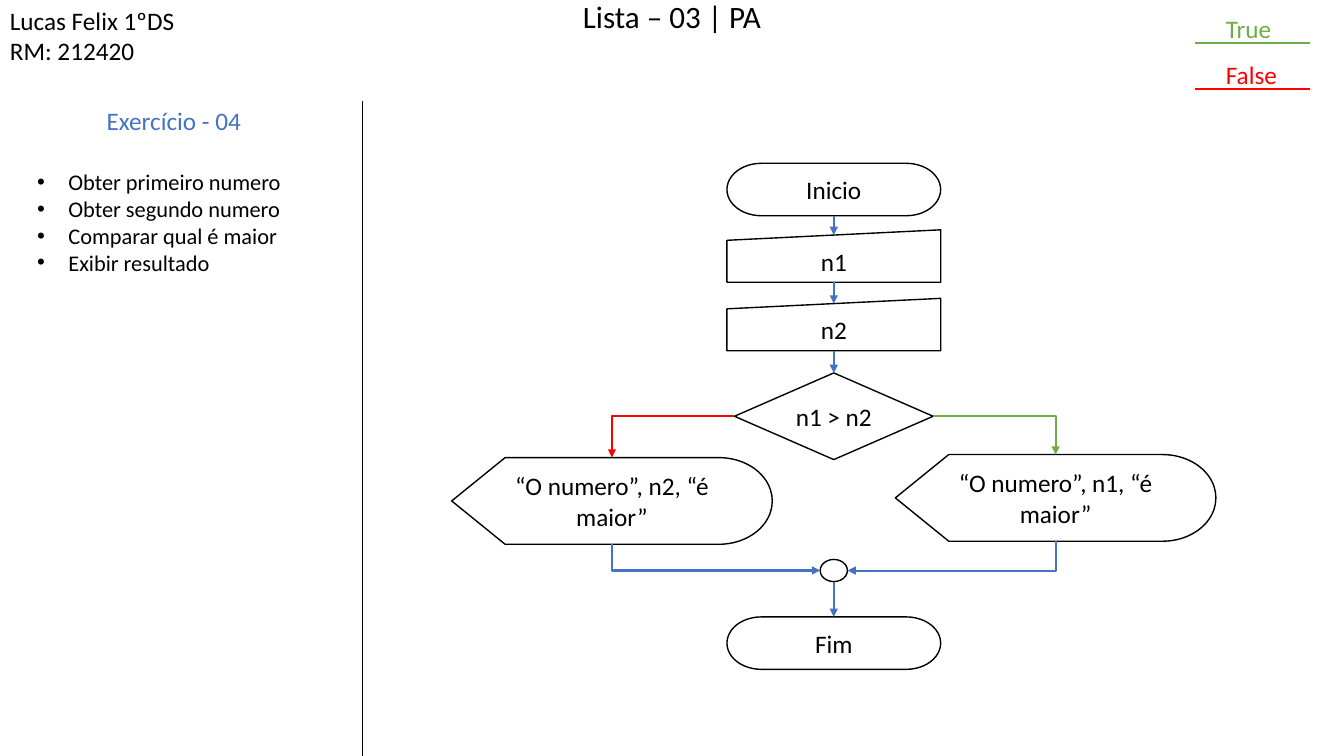
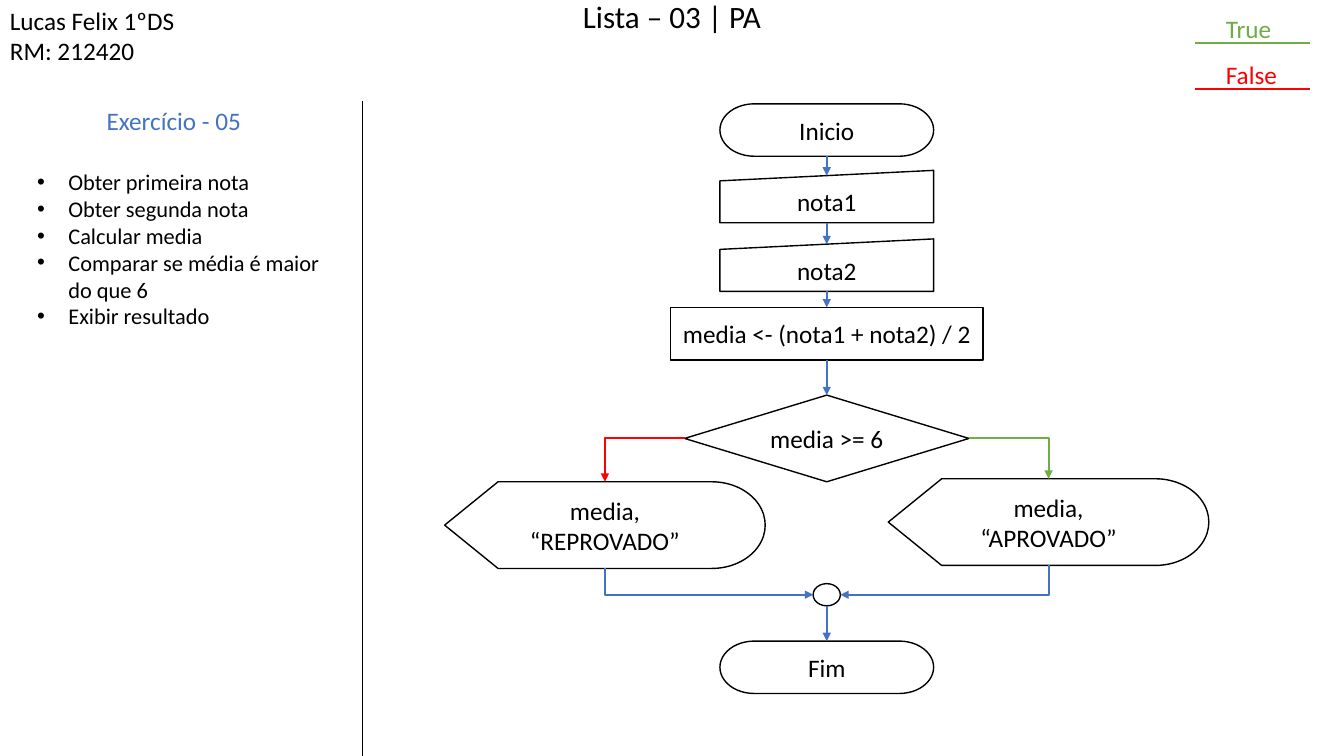
from lxml import etree
from pptx import Presentation
from pptx import util as u
from pptx.dml.color import RGBColor
from pptx.enum import shapes, text
from pptx.oxml import ns

PX = 9144  # EMU in one px, 100 px to the inch
SLIDE_SIZE = 1333, 750
FONT = "Calibri"
COLOURS = {"ink": "000000", "accent": "4472C4", "true": "70AD47", "false": "FF0000"}
KINDS = shapes.MSO_SHAPE
TOP, LEFT, BOTTOM, RIGHT = range(4)

STEP_HEIGHT = 52
STEP_WIDTH = 212
OUTPUT_WIDTH = 318
BRANCH_OFFSET = 220
TALL_HEIGHT = 86

EXERCISES = [
    {
        "name": "Exercício - 04",
        "tasks": ["Obter primeiro numero", "Obter segundo numero",
                  "Comparar qual é maior", "Exibir resultado"],
        "flow": {
            "centre": 827, "top": 162,
            "steps": [("Inicio", KINDS.FLOWCHART_TERMINATOR, STEP_WIDTH),
                      ("n1", KINDS.FLOWCHART_MANUAL_INPUT, STEP_WIDTH),
                      ("n2", KINDS.FLOWCHART_MANUAL_INPUT, STEP_WIDTH)],
            "decision": ("n1 > n2", 370, 197),
            "output_top": 454,
            "outputs": {"false": "“O numero”, n2, “é maior”",
                        "true": "“O numero”, n1, “é maior”"},
        },
    },
    {
        "name": "Exercício - 05",
        "tasks": ["Obter primeira nota", "Obter segunda nota", "Calcular media",
                  "Comparar se média é maior do que 6", "Exibir resultado"],
        "flow": {
            "centre": 820, "top": 103,
            "steps": [("Inicio", KINDS.FLOWCHART_TERMINATOR, STEP_WIDTH),
                      ("nota1", KINDS.FLOWCHART_MANUAL_INPUT, STEP_WIDTH),
                      ("nota2", KINDS.FLOWCHART_MANUAL_INPUT, STEP_WIDTH),
                      ("media <- (nota1 + nota2) / 2", KINDS.RECTANGLE, 310)],
            "decision": ("media >= 6", 392, 282),
            "output_top": 478,
            "outputs": {"false": "media,\n“REPROVADO”", "true": "media, “APROVADO”"},
        },
    },
]


def emu(*lengths):
    return [u.Emu(length * PX) for length in lengths]


def colour(name):
    return RGBColor.from_string(COLOURS[name])


def write(text_frame, content, size=18, colour_name="ink", align=text.PP_ALIGN.LEFT):
    text_frame.text = content
    text_frame.word_wrap = True
    for paragraph in text_frame.paragraphs:
        paragraph.alignment = align
        for run in paragraph.runs:
            run.font.name = FONT
            run.font.size = u.Pt(size)
            run.font.color.rgb = colour(colour_name)


def add_text(slide, box, content, **style):
    text_frame = slide.shapes.add_textbox(*emu(*box)).text_frame
    write(text_frame, content, **style)
    return text_frame


def add_bullets(text_frame, indent):
    for paragraph in text_frame.paragraphs:
        properties = paragraph._p.get_or_add_pPr()
        properties.set("marL", str(indent * PX))
        properties.set("indent", str(-indent * PX))
        etree.SubElement(properties, ns.qn("a:buFont")).set("typeface", "Arial")
        etree.SubElement(properties, ns.qn("a:buChar")).set("char", "•")


def add_line(slide, points, colour_name, width=1.5, kind=shapes.MSO_CONNECTOR.STRAIGHT):
    line = slide.shapes.add_connector(kind, *emu(*points))
    line.line.color.rgb = colour(colour_name)
    line.line.width = u.Pt(width)
    etree.SubElement(line.element.spPr, ns.qn("a:effectLst"))
    return line


def add_node(slide, kind, centre, top, width, height, content=""):
    """Place an outlined flowchart shape centred on a vertical axis."""
    node = slide.shapes.add_shape(kind, *emu(centre - width / 2, top, width, height))
    node.shadow.inherit = False
    node.fill.background()
    node.line.color.rgb = colour("ink")
    node.line.width = u.Pt(1)
    if content:
        write(node.text_frame, content, align=text.PP_ALIGN.CENTER)
        node.text_frame.vertical_anchor = text.MSO_ANCHOR.MIDDLE
    return node


def join(slide, start, start_side, end, end_side, colour_name="accent"):
    """Draw an arrow between two nodes, with one bend if the sides are not opposite."""
    bent = (start_side + end_side) % 2 == 1
    kind = shapes.MSO_CONNECTOR.ELBOW if bent else shapes.MSO_CONNECTOR.STRAIGHT
    arrow = add_line(slide, (0, 0, 0, 0), colour_name, kind=kind)
    arrow.begin_connect(start, start_side)
    arrow.end_connect(end, end_side)
    if end.auto_shape_type == KINDS.FLOWCHART_MANUAL_INPUT and end_side == TOP:
        arrow.end_y += end.height // 10  # middle of the slanted edge
    for node, tag in ((start, "a:stCxn"), (end, "a:endCxn")):
        if node.auto_shape_type == KINDS.OVAL:  # an oval has eight sites
            site = next(arrow.element.iter(ns.qn(tag)))
            site.set("idx", str(int(site.get("idx")) * 2))
    if bent:
        geometry = arrow.element.spPr.find(ns.qn("a:prstGeom"))
        geometry.set("prst", "bentConnector2")
        if start_side == BOTTOM:
            turn_downwards(arrow)
    outline = arrow.line._get_or_add_ln()
    etree.SubElement(outline, ns.qn("a:tailEnd")).set("type", "triangle")


def turn_downwards(arrow):
    """Rotate a bent arrow so that it leaves vertically."""
    leftwards = arrow.end_x < arrow.begin_x
    left, top, width, height = arrow.left, arrow.top, arrow.width, arrow.height
    arrow.left = left + (width - height) // 2
    arrow.top = top + (height - width) // 2
    arrow.width, arrow.height = height, width
    transform = arrow.element.spPr.find(ns.qn("a:xfrm"))
    transform.set("rot", str((90 if leftwards else 270) * 60000))
    transform.set("flipH", "0" if leftwards else "1")


def add_header(slide, left, top, width, height):
    title = slide.shapes.title
    title.left, title.top, title.width, title.height = emu(left, top, width, height)
    write(title.text_frame, "Lista – 03 | PA", size=22.2, align=text.PP_ALIGN.CENTER)
    title.text_frame.auto_size = text.MSO_AUTO_SIZE.NONE
    title.text_frame.vertical_anchor = text.MSO_ANCHOR.TOP
    title.text_frame.paragraphs[0].line_spacing = 0.8
    add_text(slide, (0, top, 220, 71), "Lucas Felix 1ºDS\nRM: 212420")


def add_legend(slide, left, top, width):
    for index, (label, name) in enumerate((("True", "true"), ("False", "false"))):
        add_text(slide, (left + 21, top + 46 * index, 110, 40), label, colour_name=name)
        y = top + 35 + 45 * index
        add_line(slide, (left, y, left + width, y), name)


def add_task_panel(slide, left, top, width, height, exercise):
    right = left + width
    add_line(slide, (right, top, right, top + height), "ink", width=0.5)
    add_text(slide, (left + 69, top, 220, 40), exercise["name"], colour_name="accent")
    tasks = exercise["tasks"]
    task_text = add_text(slide, (left, top + 62, 312, 118), "\n".join(tasks), size=16)
    add_bullets(task_text, 31)


def add_flow(slide, centre, top, steps, decision, output_top, outputs):
    chain = []
    for index, (content, kind, width) in enumerate(steps):
        step_top = top + 68 * index - (2 if index else 0)
        chain.append(add_node(slide, kind, centre, step_top, width, STEP_HEIGHT, content))
    question, question_top, question_width = decision
    choice = add_node(slide, KINDS.FLOWCHART_DECISION, centre, question_top,
                      question_width, TALL_HEIGHT, question)
    chain.append(choice)
    for start, end in zip(chain, chain[1:]):
        join(slide, start, BOTTOM, end, TOP)

    junction = add_node(slide, KINDS.OVAL, centre, output_top + 101, 27, 22)
    finish = add_node(slide, KINDS.FLOWCHART_TERMINATOR, centre, output_top + 158,
                      STEP_WIDTH, STEP_HEIGHT, "Fim")
    join(slide, junction, BOTTOM, finish, TOP)
    for name, side, offset, rise in (("false", LEFT, -BRANCH_OFFSET, 0),
                                     ("true", RIGHT, BRANCH_OFFSET, 3)):
        output = add_node(slide, KINDS.FLOWCHART_DISPLAY, centre + offset,
                          output_top - rise, OUTPUT_WIDTH, TALL_HEIGHT, outputs[name])
        join(slide, choice, side, output, TOP, name)
        join(slide, output, BOTTOM, junction, side)


def add_exercise_slide(presentation, exercise):
    slide = presentation.slides.add_slide(presentation.slide_layouts[5])
    add_header(slide, 535, 0, 263, 42)
    add_legend(slide, 1185, 8, 114)
    add_task_panel(slide, 27, 100, 332, 650, exercise)
    add_flow(slide, **exercise["flow"])


def main():
    presentation = Presentation()
    presentation.slide_width, presentation.slide_height = emu(*SLIDE_SIZE)
    for exercise in EXERCISES:
        add_exercise_slide(presentation, exercise)
    presentation.save("out.pptx")


if __name__ == "__main__":
    main()
